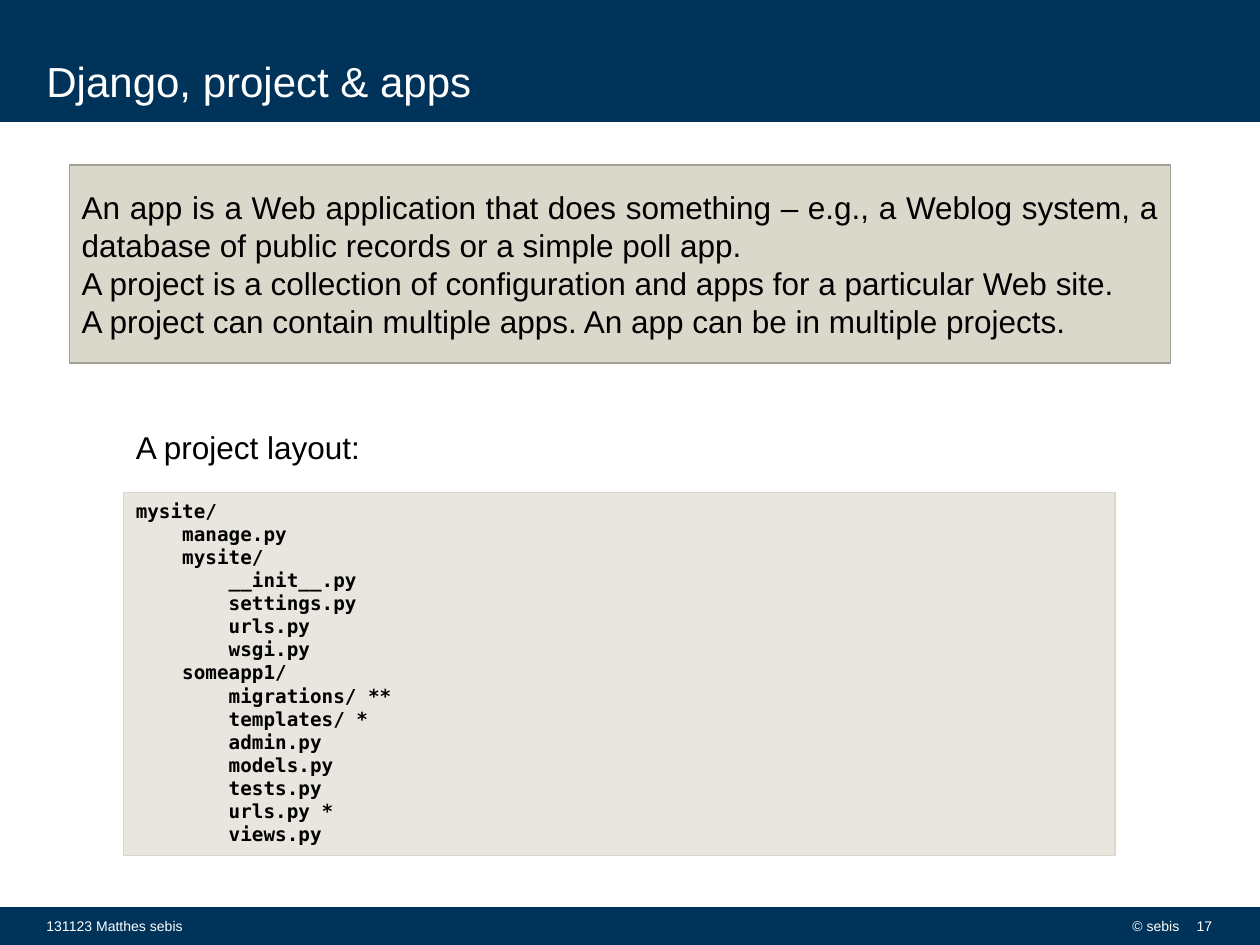
from dataclasses import dataclass, field
from typing import Optional

from pptx import Presentation
from pptx.dml.color import RGBColor
from pptx.enum.shapes import MSO_SHAPE as Shape
from pptx.enum.text import MSO_ANCHOR as Anchor, PP_ALIGN as Align
from pptx.util import Inches, Pt

WIDTH, HEIGHT = Inches(10), Inches(7.5)

NAVY = RGBColor(0x00, 0x33, 0x59)
SAND = RGBColor(0xDA, 0xD7, 0xCB)
PALE_SAND = RGBColor(0xE8, 0xE6, 0xDF)
GREY = RGBColor(0xA1, 0x9F, 0x96)
WHITE = RGBColor(0xFF, 0xFF, 0xFF)
BLACK = RGBColor(0x00, 0x00, 0x00)

TITLE_FONT = {"name": "Arial", "size": Pt(24)}
BODY_FONT = {"name": "Arial", "size": Pt(18)}
FOOTER_FONT = {"name": "Arial", "size": Pt(8)}
CODE_FONT = {"name": "DejaVu Sans Mono", "size": Pt(11), "bold": True}

MIDDLE = {"vertical_anchor": Anchor.MIDDLE, "word_wrap": True}
MIDDLE_UNWRAPPED = {"vertical_anchor": Anchor.MIDDLE, "word_wrap": False}
PAGE_NUMBER_FRAME = MIDDLE_UNWRAPPED | {"margin_left": 0}
TOP = {"vertical_anchor": Anchor.TOP, "word_wrap": True}
TOP_UNWRAPPED = {"vertical_anchor": Anchor.TOP, "word_wrap": False}
TITLE_FRAME = {"vertical_anchor": Anchor.BOTTOM, "word_wrap": True,
               "margin_top": 0, "margin_bottom": 0}

DEFINITIONS = """\
An app is a Web application that does something – e.g., a Weblog system, a database of public records or a simple poll app.
A project is a collection of configuration and apps for a particular Web site.
A project can contain multiple apps. An app can be in multiple projects."""

PROJECT_TREE = """\
mysite/
    manage.py
    mysite/
        __init__.py
        settings.py
        urls.py
        wsgi.py
    someapp1/
        migrations/ **
        templates/ *
        admin.py
        models.py
        tests.py
        urls.py *
        views.py"""


@dataclass
class Area:
    """A rectangle in percent of the slide's width and height."""
    left: float
    top: float
    width: float
    height: float

    def lengths(self) -> list[int]:
        shares = (self.left, self.top, self.width, self.height)
        return [round(share * side / 100)
                for share, side in zip(shares, (WIDTH, HEIGHT) * 2)]


@dataclass
class Panel:
    area: Area
    fill: RGBColor
    line: RGBColor
    line_width: float


@dataclass
class Copy:
    text: str
    font: dict
    color: RGBColor = BLACK
    align: Align = Align.LEFT
    frame: dict = field(default_factory=dict)


@dataclass
class Block:
    copy: Copy
    area: Optional[Area] = None
    panel: Optional[Panel] = None


def apply_format(target, values: dict) -> None:
    for name, value in values.items():
        setattr(target, name, value)


def draw_panel(page, panel: Panel):
    box = page.shapes.add_shape(Shape.RECTANGLE, *panel.area.lengths())
    box.shadow.inherit = False
    box.fill.solid()
    box.fill.fore_color.rgb = panel.fill
    box.line.color.rgb = panel.line
    box.line.width = Pt(panel.line_width)
    return box


def write(box, copy: Copy) -> None:
    frame = box.text_frame
    apply_format(frame, copy.frame)
    frame.text = copy.text
    for para in frame.paragraphs:
        para.alignment = copy.align
        for span in para.runs:
            apply_format(span.font, copy.font)
            span.font.color.rgb = copy.color


def draw_block(page, block: Block) -> None:
    if block.panel:
        box = draw_panel(page, block.panel)
    else:
        box = page.shapes.add_textbox(*block.area.lengths())
    write(box, block.copy)


BANDS = [
    Panel(Area(0, 96.13, 100, 3.87), NAVY, NAVY, 1.35),
    Panel(Area(0, 0.13, 100, 12.67), NAVY, NAVY, 1.35),
]

BLOCKS = [
    Block(Copy("Django, project & apps", TITLE_FONT, WHITE, frame=TITLE_FRAME),
          Area(2.7, 0.67, 82.4, 10.53)),
    Block(Copy("© sebis", FOOTER_FONT, WHITE, Align.RIGHT, MIDDLE_UNWRAPPED),
          Area(77, 95.87, 17.6, 4.27)),
    Block(Copy("131123 Matthes sebis", FOOTER_FONT, WHITE, frame=MIDDLE),
          Area(2.7, 95.8, 47.3, 4.27)),
    Block(Copy("17", FOOTER_FONT, WHITE, Align.RIGHT, PAGE_NUMBER_FRAME),
          Area(94.5, 95.87, 2.7, 4.27)),
    Block(Copy(DEFINITIONS, BODY_FONT, align=Align.JUSTIFY, frame=MIDDLE),
          panel=Panel(Area(5.5, 17.47, 87.4, 20.93), SAND, GREY, 0.85)),
    Block(Copy(PROJECT_TREE, CODE_FONT, frame=TOP),
          panel=Panel(Area(9.8, 52.13, 78.7, 38.4), PALE_SAND, SAND, 0.75)),
    Block(Copy("A project layout:", BODY_FONT, frame=TOP_UNWRAPPED),
          Area(9.8, 44.67, 20, 5.33)),
]


def main() -> None:
    deck = Presentation()
    deck.slide_width, deck.slide_height = WIDTH, HEIGHT
    page = deck.slides.add_slide(deck.slide_layouts[6])
    for band in BANDS:
        draw_panel(page, band)
    for block in BLOCKS:
        draw_block(page, block)
    deck.save("out.pptx")


if __name__ == "__main__":
    main()
